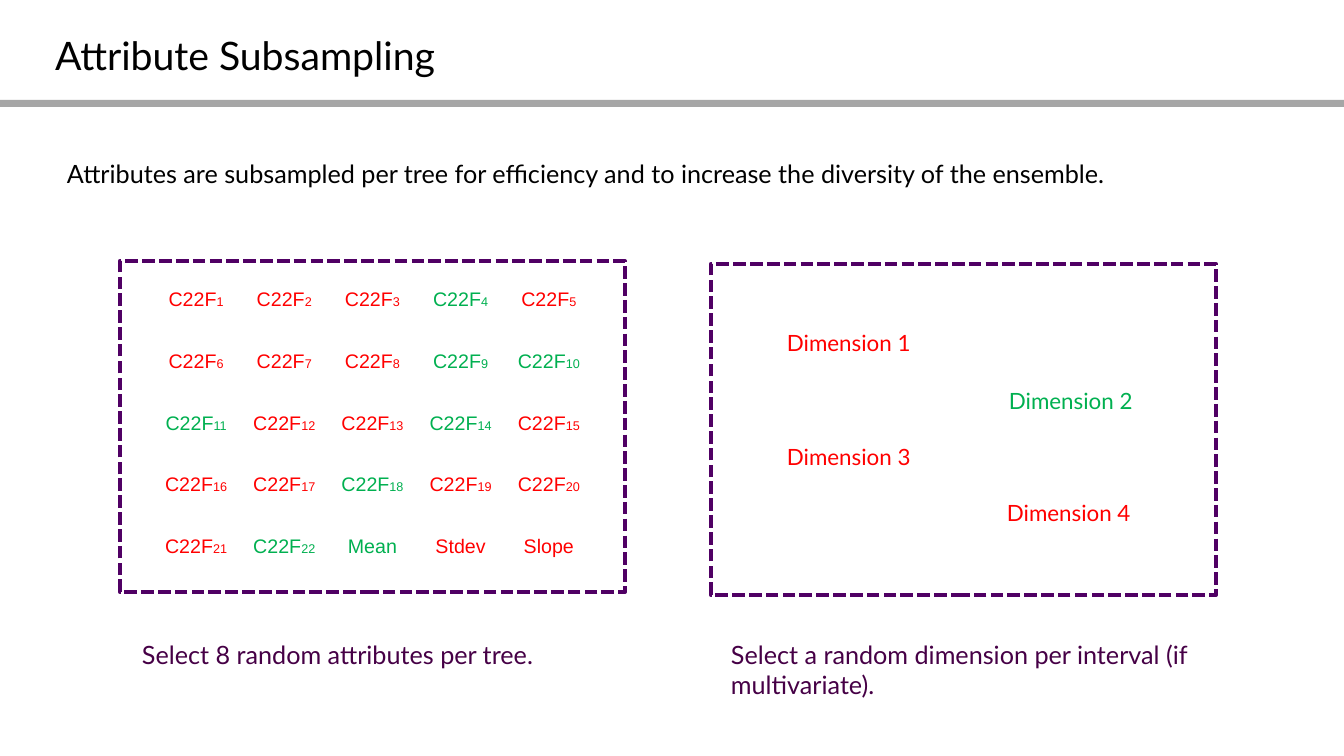
from pptx import Presentation
from pptx.dml.color import RGBColor
from pptx.enum.dml import MSO_LINE
from pptx.enum.shapes import MSO_SHAPE
from pptx.enum.text import MSO_ANCHOR, MSO_AUTO_SIZE, PP_ALIGN
from pptx.oxml.ns import qn
from pptx.util import Pt
from lxml.etree import SubElement

SCALE = 914400 / 100.8
COLORS = {"ink": "000000", "bar": "A6A6A6", "frame": "500064",
          "note": "460046", "out": "FF0000", "picked": "00B050"}
PLAIN = "{2D5ABB26-0587-4C30-8999-92F81FD0307C}"  # no style, no grid
PICKED = {4, 9, 10, 11, 14, 18, 22, 23}
PAD, INDENT = 10, 12
PANEL_W, PANEL_H = 505, 331


def px(n):
    return round(n * SCALE)


def color(name):
    return RGBColor.from_string(COLORS[name])


def write(shape, box, text, size, tone, indent=INDENT):
    """Place a text shape in its box and fill it with one paragraph."""
    shape.left, shape.top, shape.width, shape.height = map(px, box)
    frame = shape.text_frame
    frame.word_wrap = True
    frame.auto_size = MSO_AUTO_SIZE.NONE
    frame.vertical_anchor = MSO_ANCHOR.TOP
    frame.margin_left = frame.margin_right = px(PAD)
    frame.margin_top = frame.margin_bottom = px(PAD)
    frame.text = text
    para = frame.paragraphs[0]
    para.alignment = PP_ALIGN.LEFT
    para.space_before = Pt(0)
    font = para.font
    font.name, font.size, font.color.rgb = "Lato", Pt(size), color(tone)
    props = para._p.get_or_add_pPr()
    props.set("marL", str(px(indent)))
    props.set("indent", "0")
    props.insert_element_before(
        props.makeelement(qn("a:buNone")), "a:tabLst", "a:defRPr", "a:extLst")


def label(slide, box, text, size, tone):
    write(slide.shapes.add_textbox(0, 0, 0, 0), box, text, size, tone)


def header(slide, width):
    bar = slide.shapes.add_shape(MSO_SHAPE.RECTANGLE, 0, px(100), px(width), px(7))
    bar.shadow.inherit = False
    bar.fill.solid()
    bar.fill.fore_color.rgb = color("bar")
    bar.line.fill.background()
    write(slide.shapes.title, (45, 21, 1252, 65), "Attribute Subsampling", 28, "ink", 0)
    write(slide.placeholders[1], (45, 148, 1252, 109),
          "Attributes are subsampled per tree for efficiency "
          "and to increase the diversity of the ensemble.", 18, "ink")


def panel(slide, left, top, note, note_x):
    """Draw a dashed frame with its caption below."""
    rect = slide.shapes.add_shape(
        MSO_SHAPE.RECTANGLE, px(left), px(top), px(PANEL_W), px(PANEL_H))
    rect.shadow.inherit = False
    rect.fill.background()
    rect.line.color.rgb = color("frame")
    rect.line.width = Pt(3)
    rect.line.dash_style = MSO_LINE.SQUARE_DOT
    rect.line._ln.find(qn("a:prstDash")).set("val", "sysDash")
    label(slide, (note_x, 629, PANEL_W, 87), note, 18, "note")


def fill_cell(cell, num):
    cell.fill.background()
    para = cell.text_frame.paragraphs[0]
    para.alignment = PP_ALIGN.CENTER
    para.font.name = "Arial"
    extra = {23: "Mean", 24: "Stdev", 25: "Slope"}
    parts = [(extra[num], 14)] if num in extra else [("C22F", 14), (str(num), 9)]
    for text, size in parts:
        run = para.add_run()
        run.text = text
        run.font.name, run.font.size = "Arial", Pt(size)
        run.font.color.rgb = color("picked" if num in PICKED else "out")


def features(slide, left, top):
    count = 5
    shape = slide.shapes.add_table(
        count, count, px(left), px(top), px(441), px(308))
    table = shape.table
    table.first_row = table.horz_banding = False
    props = table._tbl.tblPr
    style = props.find(qn("a:tableStyleId"))
    if style is None:
        style = SubElement(props, qn("a:tableStyleId"))
    style.text = PLAIN
    for num, cell in enumerate(table.iter_cells(), 1):
        fill_cell(cell, num)


def dims(slide, left, top):
    spots = [(54, 55), (276, 113), (54, 169), (274, 225)]
    for num, (x, y) in enumerate(spots, 1):
        label(slide, (left + x, top + y, 211, 77), f"Dimension {num}", 16,
              "picked" if num == 2 else "out")


def main():
    deck = Presentation()
    deck.slide_width, deck.slide_height = px(1344), px(756)
    slide = deck.slides.add_slide(deck.slide_layouts[1])
    header(slide, 1344)
    panel(slide, 120, 261, "Select 8 random attributes per tree.", 120)
    features(slide, 152, 284)
    panel(slide, 711, 264,
          "Select a random dimension per interval (if multivariate).", 709)
    dims(slide, 711, 264)
    deck.save("out.pptx")


if __name__ == "__main__":
    main()
